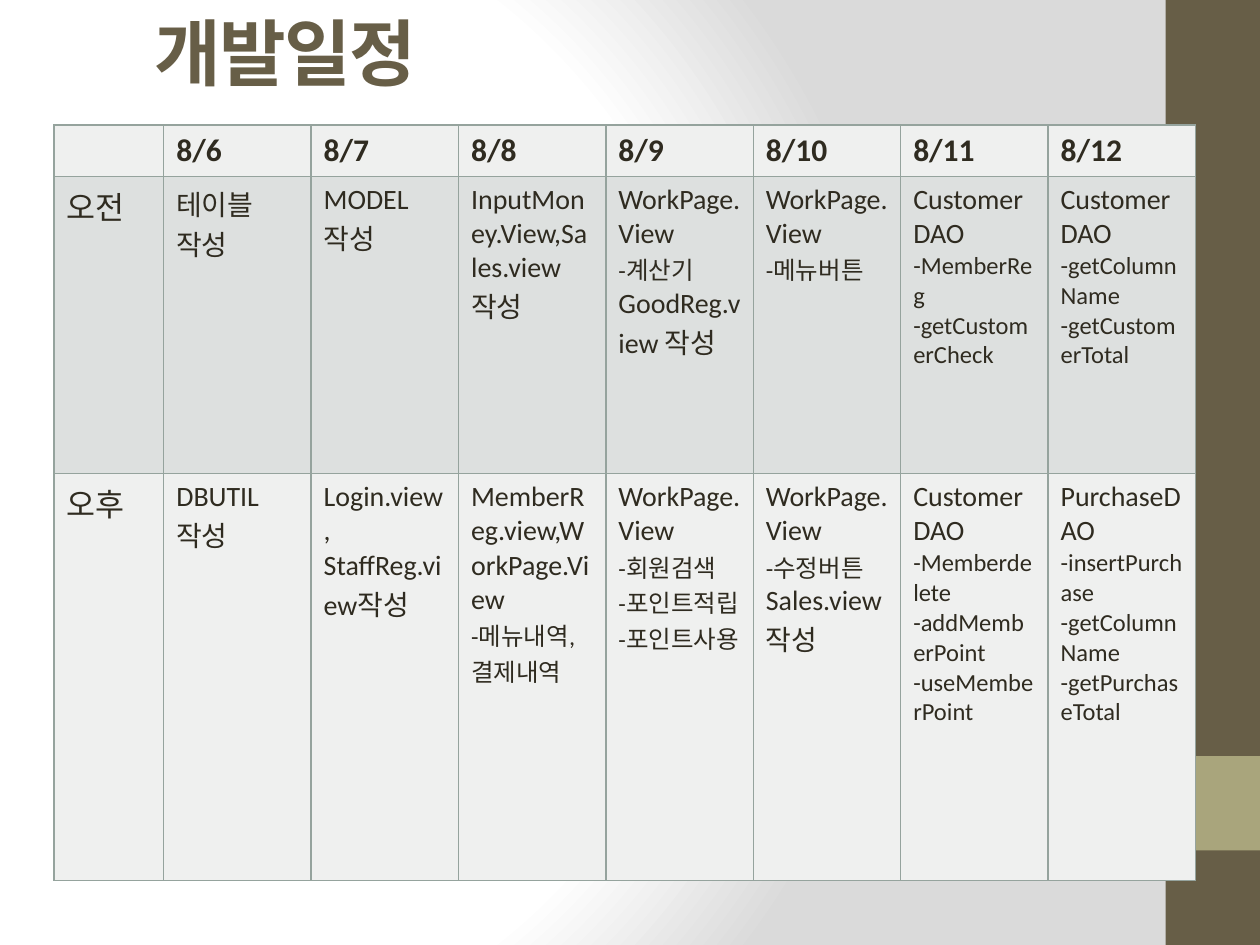
from lxml import etree
from pptx import Presentation, util as u
from pptx.dml.color import RGBColor
from pptx.enum import shapes, text
from pptx.oxml import parse_xml
from pptx.oxml.ns import nsdecls, qn

WIDE, HIGH = 10, 7.5
BROWN, OLIVE, INK, EDGE = "675E47", "A9A57C", "2F2B20", "95A39D"
BANDS = ["EFF0EF", "DDE0DF", "EFF0EF"]
STOPS = [(0, "FFFFFF"), (75, "FFFFFF"), (100, "DADADA")]
SIDES = [(0, HIGH, BROWN), (0.8 * HIGH, 0.1 * HIGH, OLIVE)]
TITLE = "개발일정"
DAYS = ["", "8/6", "8/7", "8/8", "8/9", "8/10", "8/11", "8/12"]
# One list of paragraphs per cell; a leading "-" marks a detail line.
PLAN = [
    [["오전"], ["테이블 작성"], ["MODEL 작성"],
     ["InputMoney.View,Sales.view 작성"],
     ["WorkPage.View", "-계산기", "GoodReg.view 작성"],
     ["WorkPage.View", "-메뉴버튼"],
     ["Customer DAO", "-MemberReg", "-getCustomerCheck"],
     ["Customer DAO", "-getColumnName", "-getCustomerTotal"]],
    [["오후"], ["DBUTIL 작성"], ["Login.view , StaffReg.view작성"],
     ["MemberReg.view,WorkPage.View", "-메뉴내역,결제내역"],
     ["WorkPage.View", "-회원검색", "-포인트적립", "-포인트사용"],
     ["WorkPage.View", "-수정버튼", "Sales.view 작성"],
     ["Customer DAO", "-Memberdelete", "-addMemberPoint", "-useMemberPoint"],
     ["PurchaseDAO", "-insertPurchase", "-getColumnName", "-getPurchaseTotal"]],
]
COLS = [0.87] + [1.17] * 7
ROWS = [0.41, 2.36, 3.23]


def paint(fill, code):
    fill.solid()
    fill.fore_color.rgb = RGBColor.from_string(code)


def write(para, words, size, font, code, bold):
    run = para.add_run()
    run.text = words
    run.font.size, run.font.name, run.font.bold = u.Pt(size), font, bold
    run.font.color.rgb = RGBColor.from_string(code)
    return run


def shade(slide):
    """Give the slide a circular gradient background."""
    slide.background.fill.solid()
    props = slide.background.fill._xPr
    stops = "".join(f'<a:gs pos="{at * 1000}"><a:srgbClr val="{code}"/></a:gs>'
                    for at, code in STOPS)
    grad = parse_xml(
        f'<a:gradFill {nsdecls("a")} rotWithShape="1"><a:gsLst>{stops}</a:gsLst>'
        '<a:path path="circle"><a:fillToRect l="20000" t="50000" r="100000" '
        'b="50000"/></a:path></a:gradFill>')
    props.replace(props.find(qn("a:solidFill")), grad)


def frame(cell):
    """Draw the four cell borders, which must precede the fill."""
    props = cell._tc.get_or_add_tcPr()
    for spot, side in enumerate(("lnL", "lnR", "lnT", "lnB")):
        line = etree.Element(qn(f"a:{side}"), w=str(u.Pt(1)))
        fill = etree.SubElement(line, qn("a:solidFill"))
        etree.SubElement(fill, qn("a:srgbClr"), val=EDGE)
        props.insert(spot, line)


def add_title(slide):
    title = slide.shapes.title
    title.left, title.top = u.Inches(0), u.Inches(0.01)
    title.width, title.height = u.Inches(4.53), u.Inches(0.79)
    body = title.text_frame
    body.vertical_anchor = text.MSO_ANCHOR.MIDDLE
    body.auto_size = text.MSO_AUTO_SIZE.NONE
    para = body.paragraphs[0]
    para.alignment = text.PP_ALIGN.CENTER
    run = write(para, TITLE, 41.4, "Cambria", BROWN, True)
    run.font._element.set("spc", "-100")


def add_sides(slide):
    for top, tall, code in SIDES:
        bar = slide.shapes.add_shape(
            shapes.MSO_SHAPE.RECTANGLE, u.Inches(0.925 * WIDE), u.Inches(top),
            u.Inches(0.075 * WIDE), u.Inches(tall))
        bar.shadow.inherit = False
        paint(bar.fill, code)
        bar.line.fill.background()


def add_plan(slide):
    grid = [[[day] for day in DAYS]] + PLAN
    table = slide.shapes.add_table(
        len(ROWS), len(COLS), u.Inches(0.43), u.Inches(0.99),
        u.Inches(sum(COLS)), u.Inches(sum(ROWS))).table
    for col, wide in zip(table.columns, COLS):
        col.width = u.Inches(wide)
    for row, tall in zip(table.rows, ROWS):
        row.height = u.Inches(tall)
    for r, line in enumerate(grid):
        for c, items in enumerate(line):
            cell = table.cell(r, c)
            paint(cell.fill, BANDS[r])
            frame(cell)
            head = r == 0 or c == 0
            for n, item in enumerate(items):
                body = cell.text_frame
                para = body.add_paragraph() if n else body.paragraphs[0]
                size = 18 if head else 14 if item.startswith("-") else 16
                if item:
                    write(para, item, size, "Calibri", INK, r == 0)


def main():
    deck = Presentation()
    deck.slide_width, deck.slide_height = u.Inches(WIDE), u.Inches(HIGH)
    slide = deck.slides.add_slide(deck.slide_layouts[5])
    shade(slide)
    add_sides(slide)
    add_title(slide)
    add_plan(slide)
    deck.save("out.pptx")


if __name__ == "__main__":
    main()
